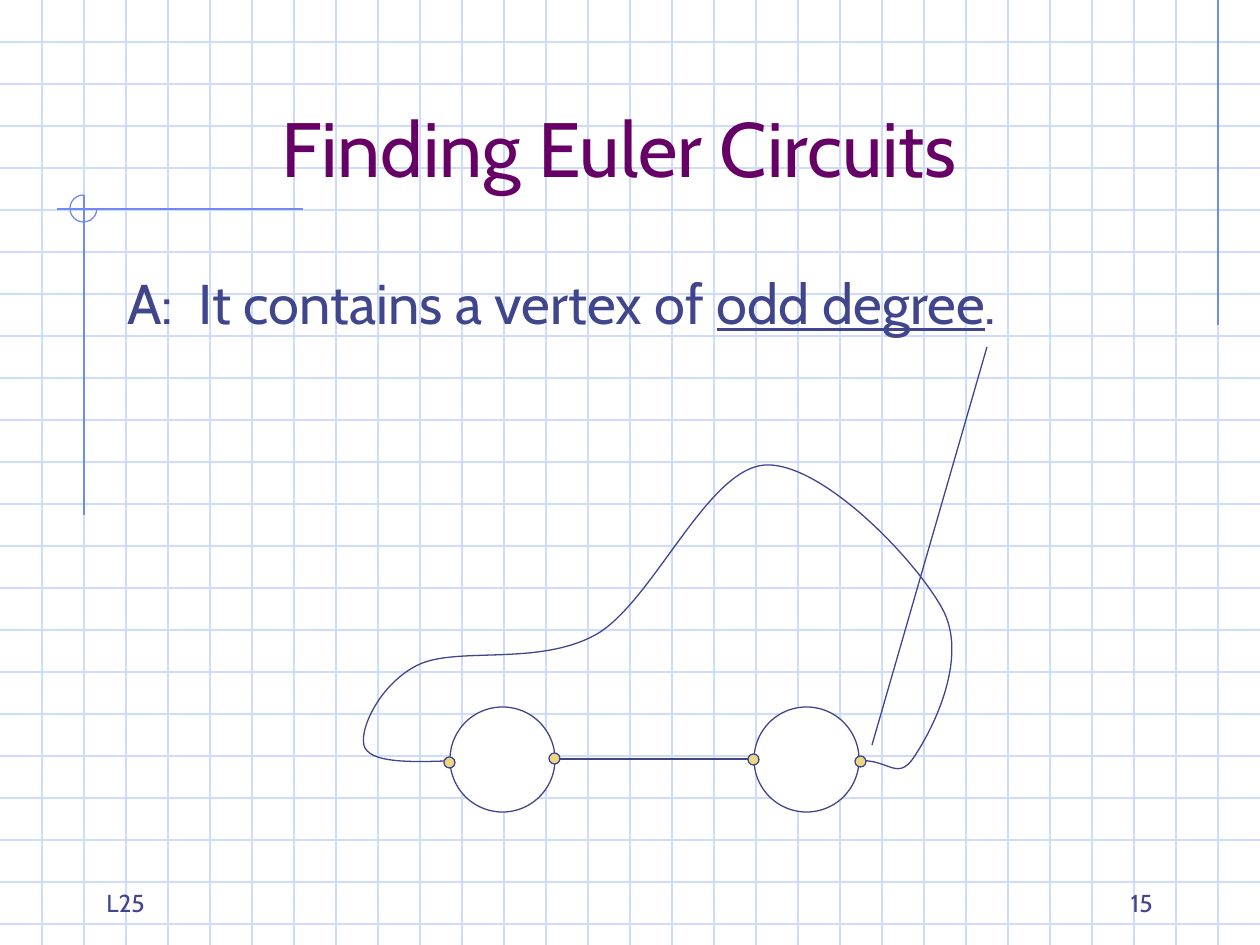
import typing

import pptx
import pptx.dml.color
import pptx.enum.shapes
import pptx.enum.text
import pptx.oxml.ns
import pptx.util
from lxml import etree

RGB = pptx.dml.color.RGBColor
Kind = pptx.enum.shapes.MSO_SHAPE
Align = pptx.enum.text.PP_ALIGN
Anchor = pptx.enum.text.MSO_ANCHOR
tag = pptx.oxml.ns.qn

PX = 914400 / 126
WIDE, HIGH, STEP = 1260, 945, 42
FONT = "Cabin"

GRID = RGB(0xCF, 0xDB, 0xFD)
RULE = RGB(0x6F, 0x89, 0xF7)
PLUM = RGB(0x66, 0x00, 0x66)
INK = RGB(0x40, 0x45, 0x8C)
WHITE = RGB(0xFF, 0xFF, 0xFF)
GOLD = RGB(0xEC, 0xD8, 0x82)


class Line(typing.NamedTuple):
    x1: int
    y1: int
    x2: int
    y2: int
    color: RGB


class Disc(typing.NamedTuple):
    x: int
    y: int
    size: int
    fill: RGB


class Run(typing.NamedTuple):
    text: str
    under: bool = False


class Label(typing.NamedTuple):
    x: int
    y: int
    w: int
    h: int
    runs: list[Run]
    size: int
    color: RGB
    align: Align
    anchor: Anchor


ROWS = [Line(0, y, WIDE, y, GRID) for y in range(STEP, HIGH, STEP)]
COLS = [Line(x, 0, x, HIGH, GRID) for x in range(STEP, WIDE, STEP)]
RULES = [
    Line(1218, 0, 1218, 325, RULE),
    Line(303, 209, 57, 209, RULE),
    Line(84, 195, 84, 515, RULE),
]
AXLE = Line(534, 759, 765, 759, INK)
AERIAL = Line(987, 347, 872, 745, INK)

WHEELS = [Disc(x, 707, 105, WHITE) for x in (754, 450)]
NODES = [
    Disc(x, y, 11, GOLD)
    for x, y in ((748, 754), (549, 753), (855, 756), (444, 757))
]

# Car body: a start point, then two handles and an end point per curve
BODY = [
    (471, 760),
    (422, 762), (374, 765), (365, 748),
    (357, 733), (379, 684), (418, 665),
    (457, 646), (539, 667), (597, 634),
    (654, 600), (707, 469), (765, 465),
    (823, 462), (919, 563), (944, 612),
    (968, 662), (931, 733), (912, 760),
    (892, 786), (883, 743), (828, 770),
]

LABELS = [
    Label(84, 42, 1071, 157, [Run("Finding Euler Circuits")], 44, PLUM,
          Align.CENTER, Anchor.BOTTOM),
    Label(115, 262, 1071, 567,
          [Run("A:  It contains a vertex of "), Run("odd degree", True), Run(".")],
          32, INK, Align.LEFT, Anchor.TOP),
    Label(903, 861, 262, 63, [Run("15")], 14, INK, Align.RIGHT, Anchor.BOTTOM),
    Label(94, 861, 262, 63, [Run("L25")], 14, INK, Align.LEFT, Anchor.BOTTOM),
]


def emu(*px: int) -> list[int]:
    return [round(p * PX) for p in px]


def stroke(item, color: RGB) -> None:
    item.line.color.rgb = color
    item.line.width = pptx.util.Pt(0.75)


def draw_line(shapes, line: Line) -> None:
    item = shapes.add_connector(
        pptx.enum.shapes.MSO_CONNECTOR.STRAIGHT, *emu(*line[:4]))
    stroke(item, line.color)
    etree.SubElement(item._element.spPr, tag("a:effectLst"))


def draw_disc(shapes, disc: Disc) -> None:
    item = shapes.add_shape(Kind.OVAL, *emu(disc.x, disc.y, disc.size, disc.size))
    item.shadow.inherit = False
    item.fill.solid()
    item.fill.fore_color.rgb = disc.fill
    stroke(item, INK)


def draw_arc(shapes) -> None:
    """Three quarters of a circle where the left rules cross."""
    item = shapes.add_shape(Kind.ARC, *emu(70, 195, 27, 27))
    item.adjustments[0] = 0
    item.adjustments[1] = 162  # 270 degrees
    item.shadow.inherit = False
    item.fill.background()
    stroke(item, RULE)


def bend(item) -> None:
    """Turn each three straight segments into one cubic curve."""
    path = item._element.find(".//" + tag("a:path"))
    legs = path.findall(tag("a:lnTo"))
    for i in range(0, len(legs), 3):
        curve = etree.SubElement(path, tag("a:cubicBezTo"))
        for leg in legs[i:i + 3]:
            curve.append(leg[0])
            path.remove(leg)


def draw_body(shapes) -> None:
    first, *rest = [emu(*knot) for knot in BODY]
    pen = shapes.build_freeform(*first)
    pen.add_line_segments(rest, close=False)
    item = pen.convert_to_shape()
    bend(item)
    item.shadow.inherit = False
    item.fill.background()
    stroke(item, INK)


def draw_label(shapes, label: Label) -> None:
    frame = shapes.add_textbox(*emu(*label[:4])).text_frame
    frame.word_wrap = True
    frame.vertical_anchor = label.anchor
    para = frame.paragraphs[0]
    para.alignment = label.align
    para.font.name = FONT
    para.font.size = pptx.util.Pt(label.size)
    para.font.color.rgb = label.color
    for part in label.runs:
        run = para.add_run()
        run.text = part.text
        if part.under:
            run.font.underline = True


def main() -> None:
    deck = pptx.Presentation()
    deck.slide_width, deck.slide_height = emu(WIDE, HIGH)
    shapes = deck.slides.add_slide(deck.slide_layouts[6]).shapes
    paper = shapes.add_group_shape().shapes
    for line in ROWS + COLS + RULES:
        draw_line(paper, line)
    draw_arc(paper)
    draw_body(shapes)
    draw_line(shapes, AXLE)
    for disc in WHEELS + NODES:
        draw_disc(shapes, disc)
    draw_line(shapes, AERIAL)
    for label in LABELS:
        draw_label(shapes, label)
    deck.save("out.pptx")


if __name__ == "__main__":
    main()
